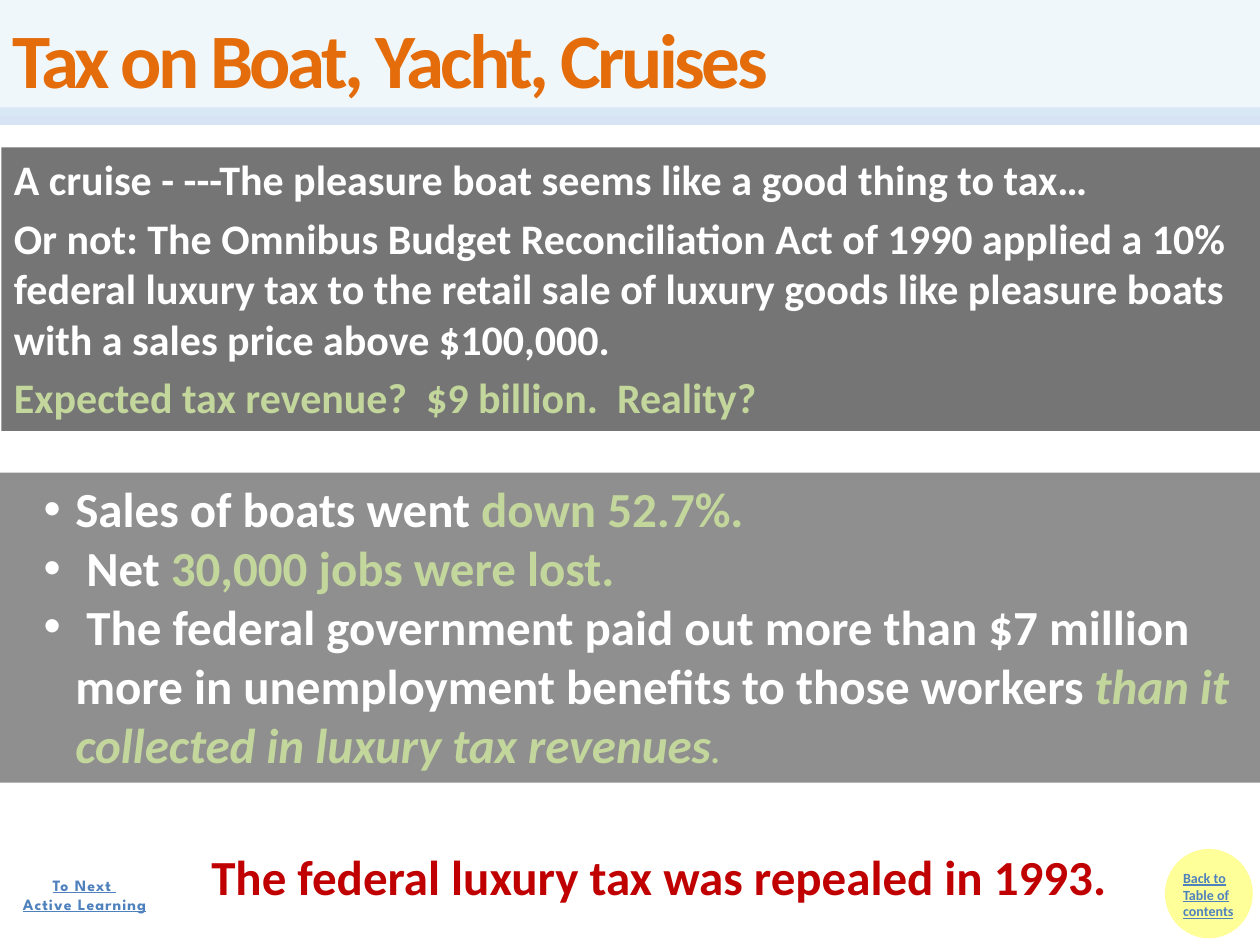
from pptx import Presentation
from pptx.dml.color import RGBColor
from pptx.enum.shapes import MSO_CONNECTOR, MSO_SHAPE
from pptx.enum.text import MSO_ANCHOR, PP_ALIGN
from pptx.oxml.ns import qn
from pptx.util import Cm, Pt
from lxml.etree import SubElement

WHITE = RGBColor(0xFF, 0xFF, 0xFF)
BLACK = RGBColor(0x00, 0x00, 0x00)
GREEN = RGBColor(0xC3, 0xD6, 0x9B)
RED = RGBColor(0xC0, 0x00, 0x00)
ORANGE = RGBColor(0xE4, 0x6C, 0x0A)
BLUE = RGBColor(0x4F, 0x81, 0xBD)
PALE = RGBColor(0xDB, 0xEE, 0xF4)
SKY = RGBColor(0xC6, 0xD9, 0xF1)
YELLOW = RGBColor(0xFF, 0xFF, 0x99)


def set_all(item, values):
    for name, value in values.items():
        setattr(item, name, value)


def fade(fill, alpha):
    color = fill._xPr.find(qn("a:solidFill"))[0]
    SubElement(color, qn("a:alpha"), val=str(alpha * 1000))


def add_rule(slide, y):
    rule = slide.shapes.add_connector(
        MSO_CONNECTOR.STRAIGHT, Cm(0), Cm(y), Cm(25.4), Cm(y))
    rule.line.width = Pt(10)
    rule.line.color.rgb = SKY
    fade(rule.line.fill, 71)
    SubElement(rule._element.spPr, qn("a:effectLst"))


def add_disc(slide, place):
    disc = slide.shapes.add_shape(MSO_SHAPE.OVAL, *map(Cm, place))
    disc.shadow.inherit = False
    disc.fill.solid()
    disc.fill.fore_color.rgb = YELLOW
    disc.line.color.rgb = YELLOW
    disc.line.width = Pt(2)


def add_panel(slide, place, color, alpha):
    panel = slide.shapes.add_shape(MSO_SHAPE.RECTANGLE, *map(Cm, place))
    panel.shadow.inherit = False
    panel.fill.solid()
    panel.fill.fore_color.rgb = color
    fade(panel.fill, alpha)
    panel.line.fill.background()
    return panel.text_frame


def add_label(slide, place):
    return slide.shapes.add_textbox(*map(Cm, place)).text_frame


def add_bullet(para):
    props = para._p.get_or_add_pPr()
    props.set("marL", str(Cm(1.27)))
    props.set("indent", str(-Cm(0.64)))
    SubElement(props, qn("a:buFont"), typeface="Arial")
    SubElement(props, qn("a:buChar"), char="•")


def write(frame, lines, font, wrap=True, anchor=MSO_ANCHOR.TOP,
          align=PP_ALIGN.LEFT, gap=0, bullet=False, track=0):
    set_all(frame, {"word_wrap": wrap, "vertical_anchor": anchor})
    for count, line in enumerate(lines):
        para = frame.add_paragraph() if count else frame.paragraphs[0]
        set_all(para, {"alignment": align, "space_before": Pt(gap)})
        if bullet:
            add_bullet(para)
        for text, color, *extra in line:
            run = para.add_run()
            run.text = text
            run.font.color.rgb = color
            style = {"name": "Calibri", "bold": True, **font}
            for more in extra:
                style.update(more)
            set_all(run.font, style)
            if track:
                run._r.get_or_add_rPr().set("spc", str(track))


def main():
    deck = Presentation()
    set_all(deck, {"slide_width": Cm(25.4), "slide_height": Cm(19.05)})
    slide = deck.slides.add_slide(deck.slide_layouts[6])

    add_rule(slide, 2.34)
    add_disc(slide, (23.52, 17.15, 1.7, 1.73))
    write(add_label(slide, (23.6, 17.4, 1.83, 1.7)),
          [[("Back to Table of contents", BLUE)]],
          {"size": Pt(8), "underline": True})

    write(add_panel(slide, (0.03, 2.97, 25.4, 5.72), BLACK, 54), [
        [("A cruise - ---The pleasure boat seems like a good thing to tax…",
          WHITE)],
        [("Or not: The Omnibus Budget Reconciliation Act of 1990 applied "
          "a 10% federal luxury tax to the retail sale of luxury goods like "
          "pleasure boats with a sales price above $100,000.", WHITE)],
        [("Expected tax revenue?  $9 billion.  Reality?", GREEN)],
    ], {"size": Pt(24)}, gap=4.8)

    write(add_panel(slide, (0, 9.53, 25.4, 6.25), BLACK, 44), [
        [("Sales of boats went ", WHITE), ("down 52.7%.", GREEN)],
        [(" Net ", WHITE), ("30,000 jobs were lost.", GREEN)],
        [(" The federal government paid out more than $7 million more in "
          "unemployment benefits to those workers ", WHITE),
         ("than it collected in luxury tax revenues", GREEN,
          {"italic": True}),
         (".", GREEN, {"italic": True, "size": Pt(20)})],
    ], {"size": Pt(28)}, bullet=True)

    write(add_panel(slide, (4.01, 16.94, 19.13, 1.45), WHITE, 59),
          [[("The federal luxury tax was repealed in 1993.", RED)]],
          {"size": Pt(28)}, wrap=False)

    write(add_panel(slide, (0, 0, 25.4, 2.34), PALE, 44),
          [[("Tax on Boat, Yacht, Cruises", ORANGE)]],
          {"size": Pt(44)}, anchor=MSO_ANCHOR.MIDDLE, track=-200)

    write(add_label(slide, (0.08, 17.53, 3.25, 1.02)),
          [[("To Next ", BLUE)], [("Active Learning", BLUE)]],
          {"size": Pt(9), "name": "League Spartan", "underline": True},
          wrap=False, align=PP_ALIGN.CENTER, track=60)

    deck.save("out.pptx")


if __name__ == "__main__":
    main()
